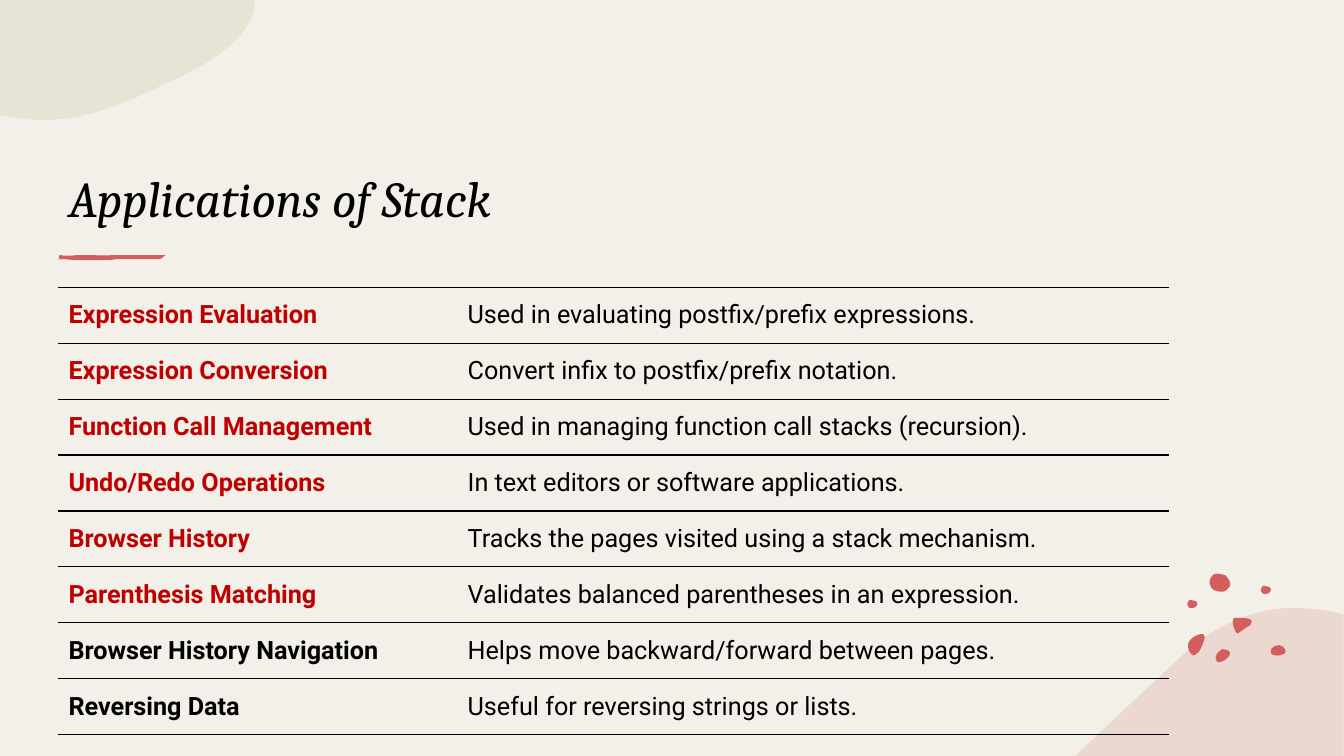
from lxml import etree
from pptx import Presentation
from pptx import util as u
from pptx.dml.color import RGBColor
from pptx.enum import text
from pptx.oxml.ns import qn

PX = 9144  # 100 px to the inch
HEX = {"paper": "F3F0E9", "rose": "E5C4BA", "sand": "DCD9C3",
       "coral": "D45E5E", "red": "C00000", "ink": "000000"}


def blob(start, parts, tint, alpha=None):
    """Draw a closed outline; a part is a line end or a cubic curve's two handles and end."""
    pen = slide.shapes.build_freeform(*start, scale=PX)
    for part in parts:
        pen.add_line_segments(list(zip(part[::2], part[1::2])), close=False)
    pen.add_line_segments([], close=True)
    shape = pen.convert_to_shape()
    lines = iter(list(shape._element.iter(qn("a:lnTo"))))
    for part in parts:
        line = next(lines)
        if len(part) == 6:
            line.tag = qn("a:cubicBezTo")
            for extra in (next(lines), next(lines)):
                line.append(extra[0])
                extra.getparent().remove(extra)
    shape.shadow.inherit = False
    shape.line.fill.background()
    shape.fill.solid()
    shape.fill.fore_color.rgb = RGBColor.from_string(HEX[tint])
    if alpha:
        clr = shape.fill._xPr.find(".//" + qn("a:srgbClr"))
        etree.SubElement(clr, qn("a:alpha"), val=str(alpha * 1000))


def style(run, font, size, tint):
    run.font.name = font
    run.font.size = u.Pt(size)
    run.font.color.rgb = RGBColor.from_string(HEX[tint])


deck = Presentation()
deck.slide_width = 40 * 100 * PX // 3
deck.slide_height = 750 * PX
slide = deck.slides.add_slide(deck.slide_layouts[5])
slide.background.fill.solid()
slide.background.fill.fore_color.rgb = RGBColor.from_string(HEX["paper"])

# Corner shapes
blob((1288, 603), [(1301, 604, 1314, 605, 1327, 608), (1333, 610), (1333, 750),
                   (1067, 750), (1068, 749), (1102, 716, 1137, 684, 1169, 654),
                   (1191, 632, 1214, 619, 1237, 611), (1254, 605, 1271, 603, 1288, 603)],
     "rose", 50)
blob((0, 0), [(253, 0), (253, 6), (245, 44, 200, 67, 158, 86),
              (123, 103, 86, 119, 41, 119), (31, 119, 22, 118, 13, 116), (0, 114), (0, 0)],
     "sand", 50)

# Pebbles
pebbles = [
    ((1213, 644), [(1215, 644, 1216, 644, 1218, 645), (1220, 646, 1221, 648, 1220, 650),
                   (1218, 653, 1212, 658, 1208, 657), (1207, 656, 1206, 654, 1206, 652),
                   (1206, 650, 1208, 647, 1210, 646), (1211, 645, 1212, 644, 1213, 644)]),
    ((1191, 629), [(1193, 629, 1195, 629, 1195, 631), (1195, 632, 1195, 632, 1195, 633),
                   (1194, 638, 1192, 643, 1189, 647), (1187, 649, 1184, 652, 1182, 649),
                   (1179, 646, 1178, 641, 1179, 638), (1180, 635, 1182, 634, 1184, 632),
                   (1185, 632, 1188, 629, 1191, 629)]),
    ((1269, 640), [(1271, 640, 1274, 642, 1275, 644), (1276, 646, 1276, 648, 1273, 649),
                   (1270, 651, 1262, 651, 1261, 648), (1260, 646, 1261, 644, 1262, 643),
                   (1264, 641, 1266, 640, 1269, 640)]),
    ((1201, 581), [(1200, 581, 1199, 575, 1202, 572), (1204, 570, 1204, 569, 1207, 569),
                   (1210, 569, 1214, 570, 1216, 571), (1218, 573, 1222, 578, 1220, 582),
                   (1217, 585, 1216, 587, 1212, 587), (1209, 587, 1204, 586, 1203, 584),
                   (1201, 583, 1201, 582, 1201, 581)]),
    ((1228, 613), [(1234, 613, 1245, 613, 1241, 619), (1241, 620, 1240, 621, 1239, 621),
                   (1236, 623, 1233, 625, 1230, 627), (1229, 628, 1228, 629, 1227, 628),
                   (1227, 628, 1226, 627, 1226, 627), (1224, 623, 1223, 620, 1223, 616),
                   (1223, 615, 1223, 614, 1224, 613), (1224, 613, 1225, 613, 1225, 613),
                   (1226, 613, 1227, 613, 1228, 613)]),
]
for start, parts in pebbles:
    blob(start, parts, "coral")
for x, y in [(1251, 581), (1178, 595)]:
    blob((x, y + 5), [(x, y + 5, x, y + 1, x + 2, y), (x + 4, y, x + 5, y, x + 7, y + 1),
                      (x + 8, y + 1, x + 10, y + 2, x + 10, y + 4),
                      (x + 10, y + 5, x + 9, y + 7, x + 8, y + 7),
                      (x + 8, y + 7, x + 8, y + 8, x + 6, y + 8),
                      (x + 5, y + 8, x + 3, y + 9, x + 2, y + 8),
                      (x + 1, y + 6, x, y + 6, x, y + 5)], "coral")

# Brush stroke under the title, with its loose specks
for x, y in [(58, 257), (60, 257), (163, 253)]:
    blob((x, y), [(x, y, x + 1, y, x + 1, y), (x + 1, y + 1, x, y + 1, x, y)], "coral")
blob((86, 258), [(92, 258, 105, 258, 107, 258), (109, 258, 112, 258, 115, 257),
                 (119, 257, 131, 257, 133, 257), (135, 257, 148, 257, 149, 257),
                 (150, 257, 157, 257, 157, 257), (163, 257, 161, 254, 164, 253),
                 (161, 253, 159, 253, 157, 253), (151, 253, 138, 253, 133, 253),
                 (127, 253, 117, 253, 111, 253), (106, 254, 94, 253, 88, 253),
                 (87, 253, 79, 253, 77, 253), (70, 254, 64, 254, 59, 253),
                 (58, 254, 58, 258, 61, 257), (65, 257, 71, 258, 75, 258),
                 (76, 258, 86, 258, 86, 258)], "coral")

title = slide.shapes.title
title.left, title.top, title.width, title.height = [n * PX for n in (58, 86, 1102, 145)]
frame = title.text_frame
frame.text = "Applications of Stack"
frame.auto_size = text.MSO_AUTO_SIZE.NONE
frame.vertical_anchor = text.MSO_ANCHOR.BOTTOM
frame.paragraphs[0].alignment = text.PP_ALIGN.LEFT
head = frame.paragraphs[0].runs[0]
style(head, "Cambria", 36, "ink")
head.font.italic = True

uses = [
    ("Expression Evaluation", "Used in evaluating postfix/prefix expressions.", "red"),
    ("Expression Conversion", "Convert infix to postfix/prefix notation.", "red"),
    ("Function Call Management", "Used in managing function call stacks (recursion).", "red"),
    ("Undo/Redo Operations", "In text editors or software applications.", "red"),
    ("Browser History", "Tracks the pages visited using a stack mechanism.", "red"),
    ("Parenthesis Matching", "Validates balanced parentheses in an expression.", "red"),
    ("Browser History Navigation", "Helps move backward/forward between pages.", "ink"),
    ("Reversing Data", "Useful for reversing strings or lists.", "ink"),
]
table = slide.shapes.add_table(len(uses), 2, 58 * PX, 285 * PX, 1102 * PX, 444 * PX).table
table.first_row = table.horz_banding = False
table.columns[0].width = 396 * PX
table.columns[1].width = 706 * PX

for r, (name, note, tint) in enumerate(uses):
    for c, (words, color) in enumerate([(name, tint), (note, "ink")]):
        cell = table.cell(r, c)
        cell.text = words
        cell.vertical_anchor = text.MSO_ANCHOR.MIDDLE
        cell.fill.background()
        run = cell.text_frame.paragraphs[0].runs[0]
        style(run, "Roboto", 18, color)
        run.font.bold = c == 0
        props = cell._tc.get_or_add_tcPr()
        for i, side in enumerate(["lnL", "lnR", "lnT", "lnB"]):
            edge = etree.Element(qn("a:" + side), w=str(u.Pt(1)))
            props.insert(i, edge)
            if side in ("lnT", "lnB"):
                fill = etree.SubElement(edge, qn("a:solidFill"))
                etree.SubElement(fill, qn("a:srgbClr"), val=HEX["ink"])
            else:
                etree.SubElement(edge, qn("a:noFill"))

deck.save("out.pptx")
